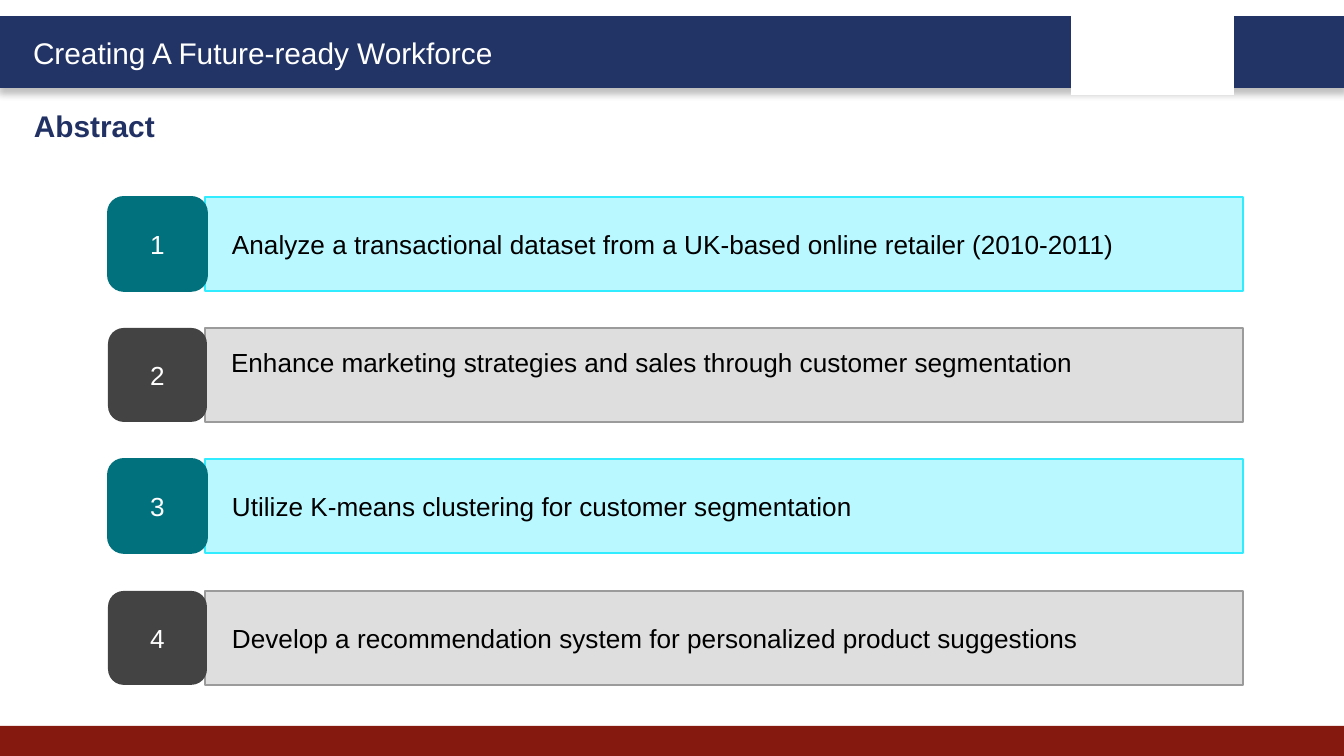
from dataclasses import dataclass
from typing import Optional

from lxml import etree
from pptx import Presentation
from pptx.dml.color import RGBColor
from pptx.enum.shapes import MSO_SHAPE
from pptx.enum.text import MSO_ANCHOR, MSO_AUTO_SIZE, PP_ALIGN
from pptx.oxml.ns import qn
from pptx.util import Emu, Pt

RECT = MSO_SHAPE.RECTANGLE
ROUNDED = MSO_SHAPE.ROUNDED_RECTANGLE
MIDDLE, TOP = MSO_ANCHOR.MIDDLE, MSO_ANCHOR.TOP
LEFT, CENTER = PP_ALIGN.LEFT, PP_ALIGN.CENTER
GROW = MSO_AUTO_SIZE.SHAPE_TO_FIT_TEXT

WHITE = RGBColor(0xFF, 0xFF, 0xFF)
BLACK = RGBColor(0x00, 0x00, 0x00)
NAVY = RGBColor(0x22, 0x33, 0x66)
HEADING_NAVY = RGBColor(0x21, 0x31, 0x63)
MAROON = RGBColor(0x85, 0x19, 0x10)
TEAL = RGBColor(0x00, 0x71, 0x7D)
CYAN = RGBColor(0x31, 0xEB, 0xFF)
PALE_CYAN = RGBColor(0xBA, 0xF8, 0xFF)
CHARCOAL = RGBColor(0x43, 0x43, 0x43)
GRAY = RGBColor(0x9B, 0x9B, 0x9B)
PALE_GRAY = RGBColor(0xDE, 0xDE, 0xDE)

FONT = "Arial"
EMU_PER_PX = 914400 / 134.4
SLIDE_W, SLIDE_H = 1344, 756

# Goal rows: four equal steps down the slide
ROWS_TOP, ROWS_SPAN, ROW_H = 197, 394, 94
BADGE_X, BADGE_W = 108, 99
BAR_X, BAR_W = 205, 1038
BAR_INSET = 27


@dataclass(frozen=True)
class Box:
    x: int
    y: int
    w: int
    h: int


@dataclass(frozen=True)
class Theme:
    bar_fill: RGBColor
    bar_line: RGBColor
    badge_fill: RGBColor
    badge_line: Optional[RGBColor]


@dataclass(frozen=True)
class Goal:
    caption: str
    caption_box: Optional[Box] = None  # set when the caption floats over its bar


CYAN_THEME = Theme(PALE_CYAN, CYAN, TEAL, TEAL)
GRAY_THEME = Theme(PALE_GRAY, GRAY, CHARCOAL, None)

GOALS = [
    Goal("Analyze a transactional dataset from a UK-based online retailer (2010-2011)"),
    Goal("Enhance marketing strategies and sales through customer segmentation",
         Box(218, 340, 973, 46)),
    Goal("Utilize K-means clustering for customer segmentation"),
    Goal("Develop a recommendation system for personalized product suggestions"),
]


def px(length: int) -> Emu:
    return Emu(round(length * EMU_PER_PX))


def place(box: Box) -> list[Emu]:
    return [px(v) for v in (box.x, box.y, box.w, box.h)]


def write(shape, text: str, *, size: int = 14, color: RGBColor = BLACK,
          bold: bool = False, align=LEFT, anchor=MIDDLE, inset: int = 13) -> None:
    frame = shape.text_frame
    frame.word_wrap = True
    frame.vertical_anchor = anchor
    frame.margin_left = px(inset)
    paragraph = frame.paragraphs[0]
    paragraph.alignment = align
    run = paragraph.add_run()
    run.text = text
    run.font.name = FONT
    run.font.size = Pt(size)
    run.font.bold = bold
    run.font.color.rgb = color


def add_block(slide, box: Box, fill: RGBColor, line: Optional[RGBColor] = None,
              line_width: int = 1, kind=RECT):
    block = slide.shapes.add_shape(kind, *place(box))
    block.shadow.inherit = False
    block.fill.solid()
    block.fill.fore_color.rgb = fill
    if line is None:
        block.line.fill.background()
    else:
        block.line.color.rgb = line
        block.line.width = Pt(line_width)
    return block


def add_label(slide, box: Box, text: str, *, size: int = 16,
              color: RGBColor = BLACK, bold: bool = False) -> None:
    label = slide.shapes.add_textbox(*place(box))
    write(label, text, size=size, color=color, bold=bold, anchor=TOP)
    label.text_frame.auto_size = GROW


def add_drop_shadow(shape) -> None:
    effects = shape.element.spPr.find(qn("a:effectLst"))
    shadow = etree.SubElement(effects, qn("a:outerShdw"), blurRad=str(Pt(4)),
                              dist=str(Pt(3)), dir="5400000", rotWithShape="0")
    color = etree.SubElement(shadow, qn("a:srgbClr"), val=str(BLACK))
    etree.SubElement(color, qn("a:alpha"), val="25000")


def add_goal(slide, index: int, goal: Goal) -> None:
    theme = GRAY_THEME if index % 2 else CYAN_THEME
    top = ROWS_TOP + index * ROWS_SPAN // (len(GOALS) - 1)
    bar = add_block(slide, Box(BAR_X, top, BAR_W, ROW_H), theme.bar_fill, theme.bar_line)
    badge = add_block(slide, Box(BADGE_X, top, BADGE_W, ROW_H), theme.badge_fill,
                      theme.badge_line, kind=ROUNDED)
    write(badge, str(index + 1), color=WHITE, align=CENTER)
    if goal.caption_box:
        add_label(slide, goal.caption_box, goal.caption, size=14)
    else:
        write(bar, goal.caption, inset=BAR_INSET)


def main() -> None:
    presentation = Presentation()
    presentation.slide_width = px(SLIDE_W)
    presentation.slide_height = px(SLIDE_H)
    slide = presentation.slides.add_slide(presentation.slide_layouts[6])

    # Header band, footer band and the white panel in the header
    header = add_block(slide, Box(0, 18, SLIDE_W, 68), NAVY, NAVY, line_width=2)
    add_drop_shadow(header)
    add_block(slide, Box(0, 726, SLIDE_W, 30), MAROON)
    add_block(slide, Box(1071, 9, 163, 86), WHITE)

    # Titles
    add_label(slide, Box(20, 28, 508, 50), "Creating A Future-ready Workforce", color=WHITE)
    add_label(slide, Box(21, 101, 650, 50), "Abstract", color=HEADING_NAVY, bold=True)

    # Numbered goals
    for index, goal in enumerate(GOALS):
        add_goal(slide, index, goal)

    presentation.save("out.pptx")


if __name__ == "__main__":
    main()
